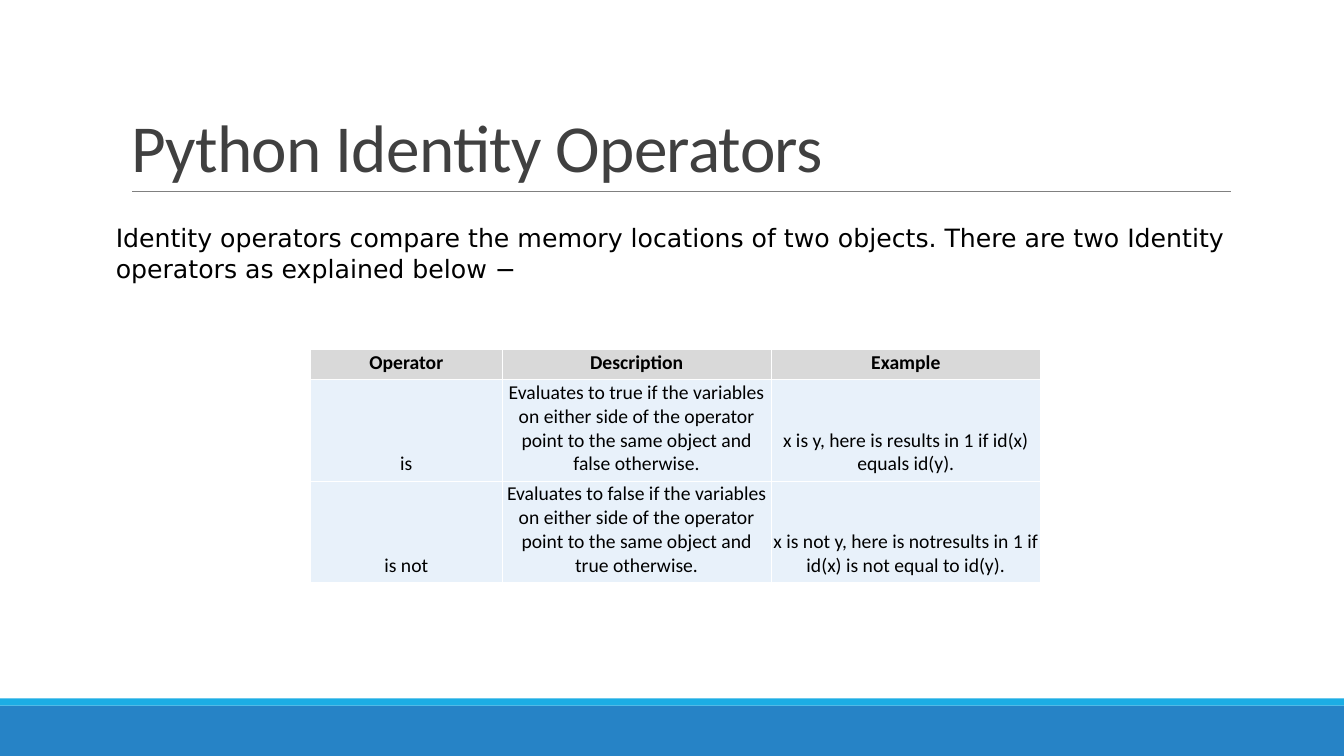
from dataclasses import dataclass

from lxml import etree
from pptx import Presentation
from pptx.dml.color import RGBColor
from pptx.enum.shapes import MSO_CONNECTOR, MSO_SHAPE
from pptx.enum.text import MSO_ANCHOR, MSO_AUTO_SIZE, PP_ALIGN
from pptx.oxml.ns import qn
from pptx.util import Inches, Pt

RECTANGLE = MSO_SHAPE.RECTANGLE
STRAIGHT = MSO_CONNECTOR.STRAIGHT
BOTTOM = MSO_ANCHOR.BOTTOM
LEFT, CENTER = PP_ALIGN.LEFT, PP_ALIGN.CENTER
NO_AUTOFIT = MSO_AUTO_SIZE.NONE
TITLE_ONLY = 5


@dataclass(frozen=True)
class Theme:
    body_font: str = "Calibri"
    intro_font: str = "DejaVu Sans"
    title_size: int = 48
    intro_size: int = 18
    table_size: int = 14
    title: str = "404040"
    text: str = "000000"
    rule: str = "808080"
    header_fill: str = "D9D9D9"
    body_fill: str = "E8F1FA"
    border: str = "FFFFFF"
    footer: str = "2683C6"
    footer_edge: str = "1CADE4"


@dataclass(frozen=True)
class Band:
    top: float
    height: float
    color: str


THEME = Theme()
BANDS = (
    Band(7, 0.5, THEME.footer),
    Band(6.93, 0.07, THEME.footer_edge),
)
OPERATORS = (
    ("Operator", "Description", "Example"),
    (
        "is",
        "Evaluates to true if the variables on either side of the operator "
        "point to the same object and false otherwise.",
        "x is y, here\u00a0is\u00a0results in 1 if id(x) equals id(y).",
    ),
    (
        "is not",
        "Evaluates to false if the variables on either side of the operator "
        "point to the same object and true otherwise.",
        "x is not y, here\u00a0is notresults in 1 if id(x) is not equal to id(y).",
    ),
)
COLUMN_WIDTHS = (1.9, 2.67, 2.67)
ROW_HEIGHTS = (0.29, 1, 1)


def write_text(frame, text, *, size, color=THEME.text, font=THEME.body_font,
               bold=False, align=LEFT, line_spacing=1.0, tracking=0):
    frame.word_wrap = True
    paragraph = frame.paragraphs[0]
    paragraph.alignment = align
    paragraph.line_spacing = line_spacing
    run = paragraph.add_run()
    run.text = text
    run.font.name = font
    run.font.size = Pt(size)
    run.font.bold = bold
    run.font.color.rgb = RGBColor.from_string(color)
    if tracking:
        run.font._element.set("spc", str(round(tracking * 100)))


def draw_band(slide, band: Band) -> None:
    stripe = slide.shapes.add_shape(
        RECTANGLE, 0, Inches(band.top), Inches(13.33), Inches(band.height))
    stripe.shadow.inherit = False
    stripe.fill.solid()
    stripe.fill.fore_color.rgb = RGBColor.from_string(band.color)
    stripe.line.fill.background()


def draw_title_rule(slide) -> None:
    rule = slide.shapes.add_connector(
        STRAIGHT, Inches(1.31), Inches(1.9), Inches(12.21), Inches(1.9))
    rule.line.color.rgb = RGBColor.from_string(THEME.rule)
    rule.line.width = Pt(0.5)
    etree.SubElement(rule._element.spPr, qn("a:effectLst"))


def draw_borders(cell) -> None:
    properties = cell._tc.get_or_add_tcPr()
    for side in ("a:lnL", "a:lnR", "a:lnT", "a:lnB"):
        border = etree.SubElement(properties, qn(side), w=str(Pt(1)))
        fill = etree.SubElement(border, qn("a:solidFill"))
        etree.SubElement(fill, qn("a:srgbClr"), val=THEME.border)


def draw_operators(slide) -> None:
    table = slide.shapes.add_table(
        len(OPERATORS), len(COLUMN_WIDTHS), Inches(3.08), Inches(3.47),
        Inches(sum(COLUMN_WIDTHS)), Inches(sum(ROW_HEIGHTS))).table
    table.horz_banding = False
    for column, width in zip(table.columns, COLUMN_WIDTHS):
        column.width = Inches(width)
    for row, height, texts in zip(table.rows, ROW_HEIGHTS, OPERATORS):
        row.height = Inches(height)
        is_header = texts is OPERATORS[0]
        fill = THEME.header_fill if is_header else THEME.body_fill
        for cell, text in zip(row.cells, texts):
            cell.margin_left = cell.margin_right = cell.margin_top = Inches(0.01)
            cell.margin_bottom = Inches(0.05)
            cell.vertical_anchor = BOTTOM
            draw_borders(cell)
            cell.fill.solid()
            cell.fill.fore_color.rgb = RGBColor.from_string(fill)
            write_text(cell.text_frame, text, size=THEME.table_size,
                       bold=is_header, align=CENTER)


def draw_title(slide) -> None:
    title = slide.shapes.title
    title.left, title.top = Inches(1.2), Inches(0.31)
    title.width, title.height = Inches(11), Inches(1.59)
    title.text_frame.vertical_anchor = BOTTOM
    title.text_frame.auto_size = NO_AUTOFIT
    write_text(title.text_frame, "Python Identity Operators",
               size=THEME.title_size, color=THEME.title,
               line_spacing=0.85, tracking=-0.5)


def draw_intro(slide) -> None:
    intro = slide.shapes.add_textbox(
        Inches(1.05), Inches(2.16), Inches(11.53), Inches(0.71))
    write_text(
        intro.text_frame,
        "Identity operators compare the memory locations of two objects. "
        "There are two Identity operators as explained below \u2212",
        size=THEME.intro_size, font=THEME.intro_font)


presentation = Presentation()
presentation.slide_width = Inches(13.33)
presentation.slide_height = Inches(7.5)
slide = presentation.slides.add_slide(presentation.slide_layouts[TITLE_ONLY])
for band in BANDS:
    draw_band(slide, band)
draw_title_rule(slide)
draw_title(slide)
draw_operators(slide)
draw_intro(slide)
presentation.save("out.pptx")
